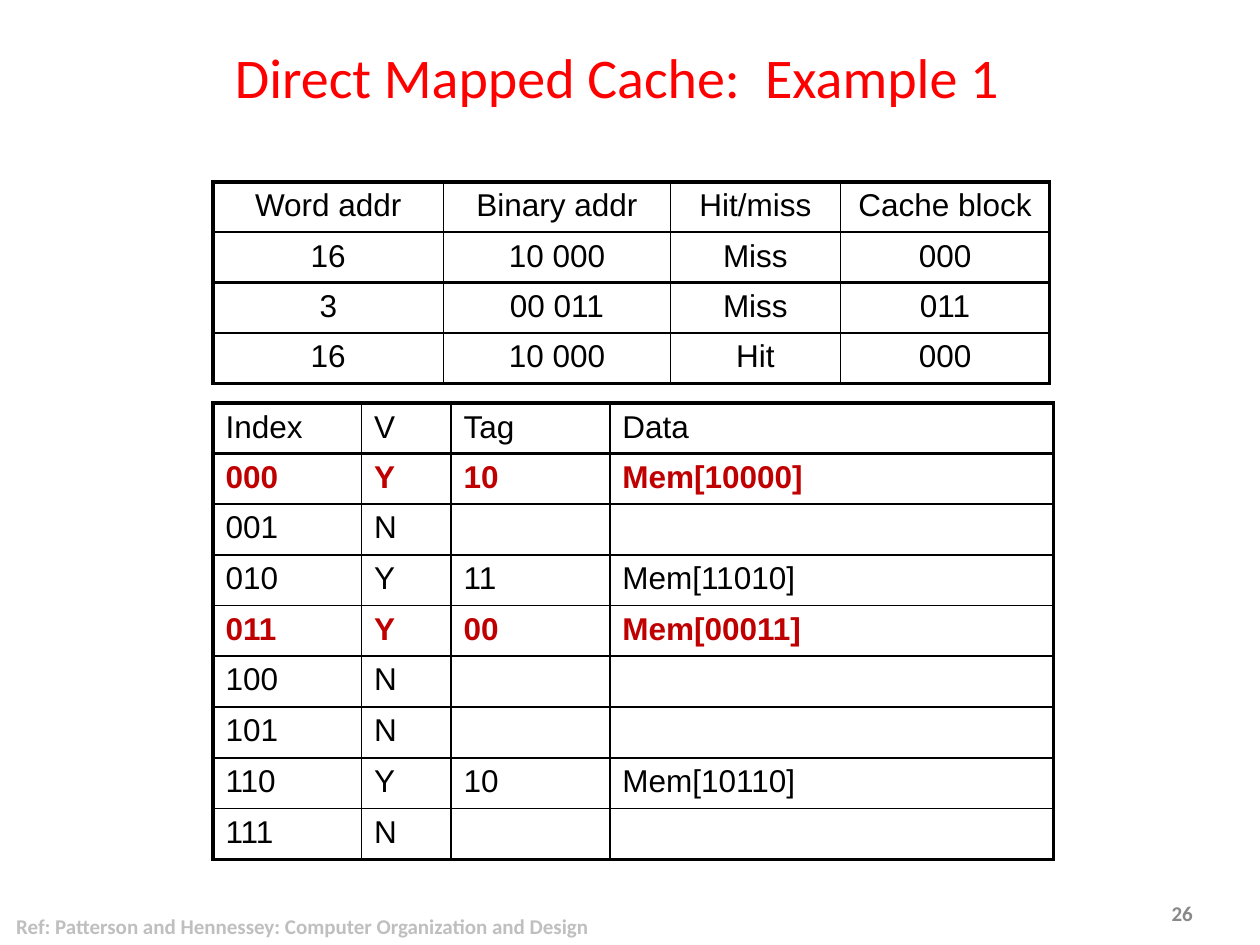
from pptx import Presentation
from pptx.dml.color import RGBColor
from pptx.enum.text import MSO_ANCHOR, PP_ALIGN
from pptx.oxml.ns import qn
from pptx.util import Pt
from lxml import etree

LEFT, CENTER = PP_ALIGN.LEFT, PP_ALIGN.CENTER
MIDDLE = MSO_ANCHOR.MIDDLE

COLORS = {
    "title": "FF0000",
    "text": "000000",
    "highlight": "C00000",
    "reference": "BFBFBF",
    "number": "898989",
}
TABLE_LEFT = 121.68
ROW_HEIGHT = 28.8
OUTER_LINE = 2.25

ACCESSES = [
    ["Word addr", "Binary addr", "Hit/miss", "Cache block"],
    ["16", "10 000", "Miss", "000"],
    ["3", "00 011", "Miss", "011"],
    ["16", "10 000", "Hit", "000"],
]
CACHE = [
    ["Index", "V", "Tag", "Data"],
    ["000", "Y", "10", "Mem[10000]"],
    ["001", "N", "", ""],
    ["010", "Y", "11", "Mem[11010]"],
    ["011", "Y", "00", "Mem[00011]"],
    ["100", "N", "", ""],
    ["101", "N", "", ""],
    ["110", "Y", "10", "Mem[10110]"],
    ["111", "N", "", ""],
]


class SlideBuilder:
    def __init__(self, slide):
        self.slide = slide

    def add_text(self, text_frame, text, color, size, name, bold=False, align=LEFT):
        paragraph = text_frame.paragraphs[0]
        paragraph.alignment = align
        run = paragraph.add_run()
        run.text = text
        font_format = {"size": Pt(size), "name": name, "bold": bold}
        for attribute, value in font_format.items():
            setattr(run.font, attribute, value)
        run.font.color.rgb = RGBColor.from_string(COLORS[color])

    def title(self, text, left, top, width, height):
        shape = self.slide.shapes.title
        placement = {"left": left, "top": top, "width": width, "height": height}
        for attribute, value in placement.items():
            setattr(shape, attribute, Pt(value))
        shape.text_frame.vertical_anchor = MIDDLE
        self.add_text(shape.text_frame, text, "title", 32, "Calibri", align=CENTER)

    def label(self, text, color, *box):
        shape = self.slide.shapes.add_textbox(*map(Pt, box))
        shape.text_frame.word_wrap = True
        shape.text_frame.vertical_anchor = MIDDLE
        self.add_text(shape.text_frame, text, color, 12, "Calibri", bold=True)

    def borders(self, cell, widths):
        properties = cell._tc.get_or_add_tcPr()
        for side, width in widths.items():
            line = etree.SubElement(properties, qn(f"a:ln{side}"), w=str(Pt(width)))
            fill = etree.SubElement(line, qn("a:solidFill"))
            etree.SubElement(fill, qn("a:srgbClr"), val=COLORS["text"])

    def table(self, rows, top, widths, row_line, align=LEFT, highlighted=()):
        last_row, last_column = len(rows) - 1, len(widths) - 1
        table = self.slide.shapes.add_table(
            len(rows), len(widths), Pt(TABLE_LEFT), Pt(top),
            Pt(sum(widths)), Pt(ROW_HEIGHT * len(rows))).table
        table.first_row = table.horz_banding = False
        for column, width in zip(table.columns, widths):
            column.width = Pt(width)

        # Horizontal rules from top to bottom: thick frame, heavier header rule
        rules = [OUTER_LINE, 1.5] + [row_line] * (last_row - 1) + [OUTER_LINE]
        for r, row in enumerate(rows):
            table.rows[r].height = Pt(ROW_HEIGHT)
            for c, text in enumerate(row):
                cell = table.cell(r, c)
                self.borders(cell, {
                    "L": OUTER_LINE if c == 0 else 1,
                    "R": OUTER_LINE if c == last_column else 1,
                    "T": rules[r],
                    "B": rules[r + 1],
                })
                cell.fill.background()
                if text:
                    bold = r in highlighted
                    color = "highlight" if bold else "text"
                    self.add_text(cell.text_frame, text, color, 18, "Arial", bold, align)


def main():
    presentation = Presentation()
    presentation.slide_width, presentation.slide_height = Pt(720), Pt(540)
    builder = SlideBuilder(
        presentation.slides.add_slide(presentation.slide_layouts[5]))

    # Title
    builder.title("Direct Mapped Cache:  Example 1", 28, 15.12, 649.44, 56.88)

    # Cache contents, then the sequence of accesses above it
    builder.table(CACHE, 230.4, [84.96, 51.12, 90.72, 253.44], 1, highlighted=(1, 4))
    builder.table(ACCESSES, 103.9, [131.76, 129.6, 97.2, 119.52], 1.5, CENTER)

    # Reference and slide number
    builder.label("Ref: Patterson and Hennessey: Computer Organization and Design",
                  "reference", 2.16, 514.8, 342.72, 28.8)
    builder.label("26", "number", 662.4, 511.2, 28.8, 21.6)

    presentation.save("out.pptx")


if __name__ == "__main__":
    main()
